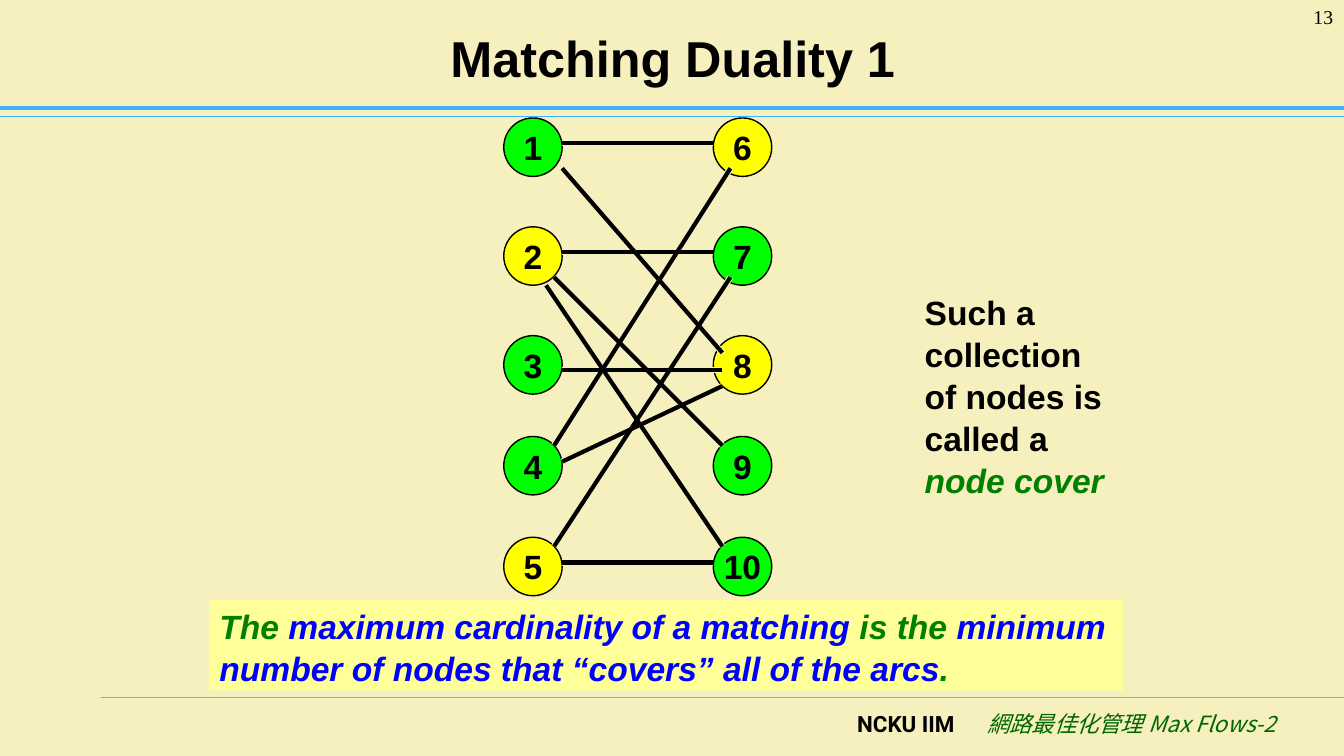
from typing import NamedTuple

import pptx
import pptx.dml.color
import pptx.enum.shapes
import pptx.enum.text
import pptx.oxml
import pptx.oxml.ns
import pptx.util

RGBColor = pptx.dml.color.RGBColor
Inches = pptx.util.Inches
Pt = pptx.util.Pt
Align = pptx.enum.text.PP_ALIGN
Anchor = pptx.enum.text.MSO_ANCHOR
Shape = pptx.enum.shapes.MSO_SHAPE
qn = pptx.oxml.ns.qn

CREAM = RGBColor(0xF5, 0xF0, 0xBD)
PALE = RGBColor(0xFF, 0xFF, 0x99)
BLACK = RGBColor(0, 0, 0)
BLUE = RGBColor(0, 0, 0xFF)
GREEN = RGBColor(0, 0x80, 0)
FOREST = RGBColor(0, 0x66, 0)
LIME = RGBColor(0, 0xFF, 0)
YELLOW = RGBColor(0xFF, 0xFF, 0)
SKY = RGBColor(0x3D, 0xB0, 0xFF)
CYAN = RGBColor(0x33, 0xCC, 0xFF)

WIDE = 13.34
SIZE = 0.58
LEFT, RIGHT = 5, 7.08
ROWS = (1.17, 2.25, 3.33, 4.33, 5.33)
COVER = {2, 5, 6, 8}


class Run(NamedTuple):
    text: str
    size: float = 24
    color: RGBColor = BLACK
    bold: bool = True
    italic: bool = False
    name: str = "Arial"


class Box(NamedTuple):
    x: float
    y: float
    w: float
    h: float


class Line(NamedTuple):
    x1: float
    y1: float
    x2: float
    y2: float


ARCS = (
    Line(5.58, 1.42, 7.08, 1.42),  # 1 to 6
    Line(5.58, 1.67, 7.17, 3.5),   # 1 to 8
    Line(5.58, 2.5, 7.08, 2.5),    # 2 to 7
    Line(5.5, 2.75, 7.17, 4.42),   # 2 to 9
    Line(5.42, 2.83, 7.17, 5.42),  # 2 to 10
    Line(5.58, 3.67, 7.17, 3.67),  # 3 to 8
    Line(5.5, 4.42, 7.25, 1.67),   # 4 to 6
    Line(5.58, 4.58, 7.17, 3.83),  # 4 to 8
    Line(5.5, 5.42, 7.25, 2.75),   # 5 to 7
    Line(5.58, 5.58, 7.08, 5.58),  # 5 to 10
)


def fill_text(shape, runs: list[Run], align=Align.LEFT, anchor=Anchor.TOP,
              wrap: bool = True, space: float = 1.0, tab: float = 0) -> None:
    frame = shape.text_frame
    frame.word_wrap = wrap
    frame.vertical_anchor = anchor
    para = frame.paragraphs[0]
    para.alignment = align
    para.line_spacing = space
    if tab:
        stops = pptx.oxml.parse_xml(
            f'<a:tabLst {pptx.oxml.ns.nsdecls("a")}>'
            f'<a:tab pos="{Inches(tab)}" algn="l"/></a:tabLst>')
        para._p.get_or_add_pPr().append(stops)
    for item in runs:
        run = para.add_run()
        run.text = item.text
        style = {"size": Pt(item.size), "bold": item.bold,
                 "italic": item.italic, "name": item.name}
        for key, value in style.items():
            setattr(run.font, key, value)
        run.font.color.rgb = item.color
        east = run._r.get_or_add_rPr().makeelement(
            qn("a:ea"), {"typeface": item.name})
        run._r.rPr.find(qn("a:latin")).addnext(east)


def add_text(slide, box: Box, runs: list[Run], **style) -> None:
    shape = slide.shapes.add_textbox(*map(Inches, box))
    fill_text(shape, runs, **style)


def add_shape(slide, kind, box: Box, fill: RGBColor, edge: bool = False):
    shape = slide.shapes.add_shape(kind, *map(Inches, box))
    shape.shadow.inherit = False
    shape.fill.solid()
    shape.fill.fore_color.rgb = fill
    if edge:
        shape.line.color.rgb = BLACK
        shape.line.width = Pt(1)
    else:
        shape.line.fill.background()
    return shape


def add_line(slide, line: Line, color: RGBColor, width: float) -> None:
    link = slide.shapes.add_connector(
        pptx.enum.shapes.MSO_CONNECTOR.STRAIGHT, *map(Inches, line))
    link.line.color.rgb = color
    link.line.width = Pt(width)
    props = link._element.spPr
    props.append(props.makeelement(qn("a:effectLst"), {}))


def main() -> None:
    deck = pptx.Presentation()
    deck.slide_width, deck.slide_height = Inches(WIDE), Inches(7.5)
    slide = deck.slides.add_slide(deck.slide_layouts[6])
    slide.background.fill.solid()
    slide.background.fill.fore_color.rgb = CREAM

    # Rules, footer, title and page number
    add_line(slide, Line(1, 6.92, WIDE, 6.92), CYAN, 0.75)
    add_line(slide, Line(0, 1.16, WIDE, 1.16), SKY, 0.75)
    add_line(slide, Line(0, 1.07, WIDE, 1.07), SKY, 2.5)
    add_text(slide, Box(8.41, 7, 4.8, 0.5), [
        Run("NCKU IIM\t", 16, name="Roboto"),
        Run("網路最佳化管理 Max Flows-2", 16, FOREST, False, True,
            "Noto Sans CJK SC")], tab=1.29)
    add_text(slide, Box(0.68, 0.13, 12, 0.87), [Run("Matching Duality 1", 36)],
             align=Align.CENTER, anchor=Anchor.MIDDLE)
    add_text(slide, Box(12.22, 0, 1.11, 0.5),
             [Run("13", 14, bold=False, name="Times New Roman")],
             align=Align.RIGHT)

    # Theorem
    banner = add_shape(slide, Shape.RECTANGLE, Box(2.08, 5.95, 9.07, 0.9), PALE)
    parts = (
        ("The ", GREEN), ("maximum cardinality of a matching", BLUE),
        (" is the ", GREEN),
        ("minimum number of nodes that “covers” all of the arcs", BLUE),
        (".", GREEN))
    fill_text(banner, [Run(text, color=color, italic=True)
                       for text, color in parts], space=1.04)

    # Nodes, with the cover in yellow
    for i in range(10):
        col, row = divmod(i, 5)
        box = Box((LEFT, RIGHT)[col], ROWS[row], SIZE, SIZE)
        fill = YELLOW if i + 1 in COVER else LIME
        node = add_shape(slide, Shape.OVAL, box, fill, edge=True)
        fill_text(node, [Run(str(i + 1))], align=Align.CENTER,
                  anchor=Anchor.MIDDLE, wrap=False)

    # Arcs over a wider band of background colour
    for color, width in ((CREAM, 4.5), (BLACK, 3)):
        for arc in ARCS:
            add_line(slide, arc, color, width)

    # Side note
    add_text(slide, Box(9.08, 2.83, 2.08, 2.1), [
        Run("Such a collection of nodes is called a "),
        Run("node cover", color=GREEN, italic=True)], space=1.04)

    deck.save("out.pptx")


if __name__ == "__main__":
    main()
